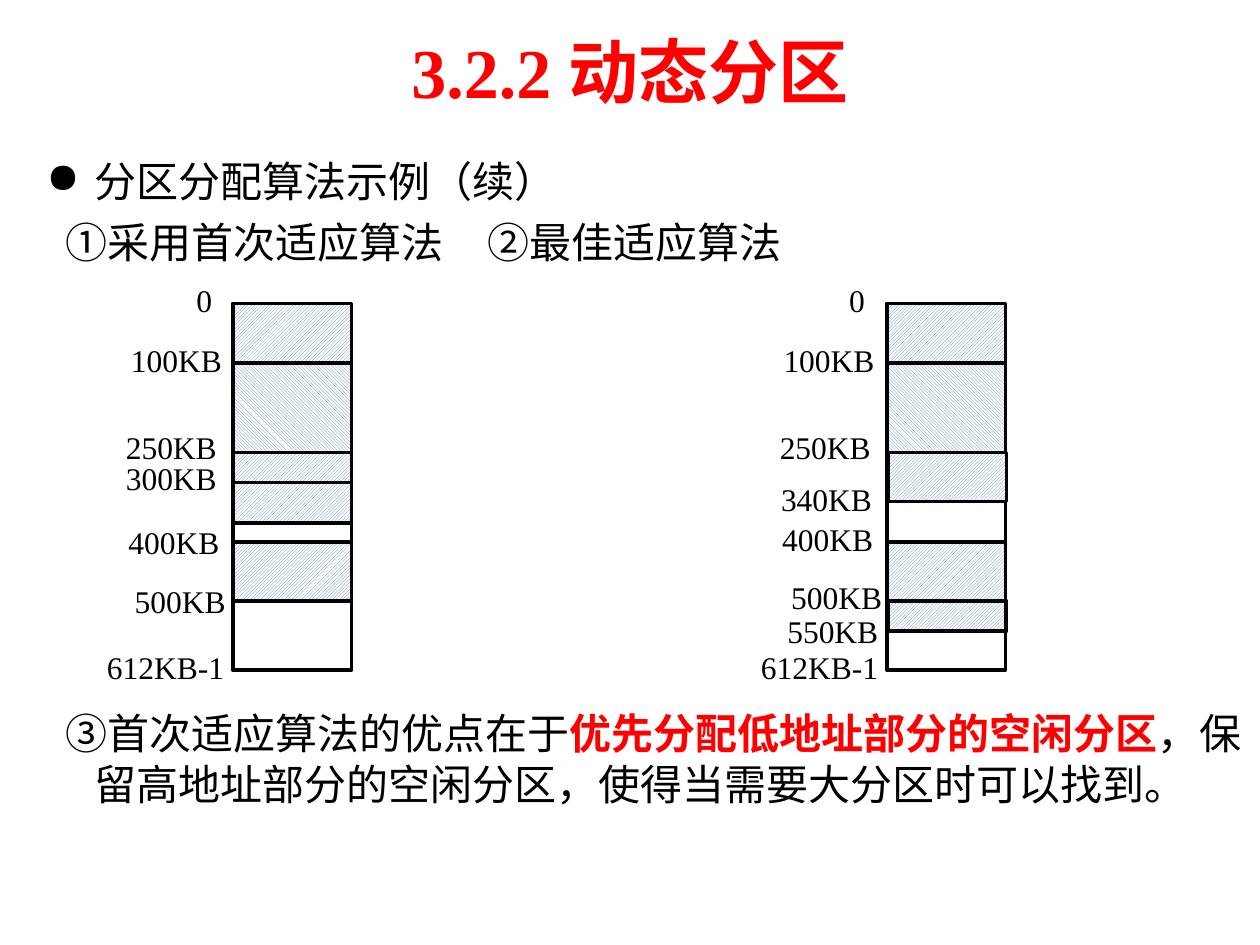
"""Build the slide comparing first-fit and best-fit dynamic partition allocation."""
from lxml.etree import SubElement
from pptx import Presentation
from pptx.dml.color import RGBColor
from pptx.enum.dml import MSO_PATTERN
from pptx.enum.shapes import MSO_SHAPE
from pptx.enum.text import MSO_ANCHOR, PP_ALIGN
from pptx.oxml.ns import qn
from pptx.util import Inches, Pt

BLACK = RGBColor(0x00, 0x00, 0x00)
WHITE = RGBColor(0xFF, 0xFF, 0xFF)
RED = RGBColor(0xFF, 0x00, 0x00)
TITLE_RED = RGBColor(0xFE, 0x00, 0x00)
HATCH_BLUE = RGBColor(0x4F, 0x81, 0xBD)
SERIF, SANS = "Times New Roman", "Arial"
UP, DOWN = MSO_PATTERN.LIGHT_UPWARD_DIAGONAL, MSO_PATTERN.LIGHT_DOWNWARD_DIAGONAL

TITLE = "3.2.2 动态分区"
BODY = [
    {"runs": [("分区分配算法示例（续）", BLACK)],
     "left": 0.38, "first": -0.38, "before": 0, "after": 2.4, "bullet": "●"},
    {"runs": [("①采用首次适应算法\t②最佳适应算法", BLACK)],
     "left": 0, "first": 0.15, "before": 3.6, "after": 0, "tab": 4.18},
    {"runs": [("③首次适应算法的优点在于", BLACK),
              ("优先分配低地址部分的空闲分区", RED),
              ("，保留高地址部分的空闲分区，使得当需要大分区时可以找到。", BLACK)],
     "left": 0.38, "first": -0.23, "before": 251.5, "after": 0},
]

BAR_TOP, BAR_WIDTH, BAR_HEIGHT = 2.41, 0.94, 2.91
SHARED_BLOCKS = [(0, 0, BAR_HEIGHT, None), (0, 0, 0.47, UP), (0, 0.47, 0.71, DOWN)]
MEMORY_MAPS = [
    {"left": 1.85,
     "blocks": [(0, 1.18, 0.24, UP), (0, 1.42, 0.47, None), (0, 1.89, 0.47, UP),
                (0, 2.36, 0.55, None), (0, 1.42, 0.32, UP)],
     "labels": [("0", 0.39, 2.18), ("100KB", 0.91, 2.66), ("250KB", 0.95, 3.35),
                ("300KB", 0.95, 3.59), ("400KB", 0.93, 4.1), ("500KB", 0.88, 4.57),
                ("612KB-1", 1.1, 5.09)]},
    {"left": 7.04,
     "blocks": [(0.01, 2.36, 0.24, UP), (0, 1.89, 0.47, UP), (0, 2.36, 0.55, None),
                (0.01, 1.18, 0.39, UP)],
     "labels": [("0", 0.4, 2.18), ("100KB", 0.92, 2.66), ("250KB", 0.95, 3.35),
                ("340KB", 0.94, 3.76), ("400KB", 0.93, 4.08), ("500KB", 0.86, 4.54),
                ("550KB", 0.89, 4.81), ("612KB-1", 1.1, 5.09)]},
]
LABEL_WIDTHS = {"0": 0.39, "612KB-1": 1.25}


def set_font(font, name, size, color=None, bold=False):
    font.name, font.size, font.bold = name, Pt(size), bold
    if color is not None:
        font.color.rgb = color


def add_title(slide):
    title = slide.shapes.title
    title.left, title.top, title.width, title.height = map(Inches, (0.5, 0.05, 9, 1.02))
    frame = title.text_frame
    frame.text = TITLE
    frame.vertical_anchor = MSO_ANCHOR.MIDDLE
    heading = frame.paragraphs[0]
    heading.alignment = PP_ALIGN.CENTER
    set_font(heading.font, SERIF, 40, TITLE_RED, True)


def add_body(slide):
    frame = slide.shapes.add_textbox(*map(Inches, (0.27, 1.15, 9.73, 5.59))).text_frame
    frame.word_wrap = True
    frame.margin_top = Inches(0.08)
    for index, item in enumerate(BODY):
        paragraph = frame.add_paragraph() if index else frame.paragraphs[0]
        paragraph.line_spacing = Pt(29)
        paragraph.space_before, paragraph.space_after = Pt(item["before"]), Pt(item["after"])
        properties = paragraph._p.get_or_add_pPr()
        properties.set("marL", str(Inches(item["left"])))
        properties.set("indent", str(Inches(item["first"])))
        if "bullet" in item:
            SubElement(properties, qn("a:buChar"), char=item["bullet"])
        if "tab" in item:
            tabs = SubElement(properties, qn("a:tabLst"))
            SubElement(tabs, qn("a:tab"), pos=str(Inches(item["tab"])), algn="l")
        set_font(paragraph.font, SANS, 24)
        for text, color in item["runs"]:
            run = paragraph.add_run()
            run.text = text
            run.font.color.rgb = color
            run.font.bold = color == RED


def add_block(slide, left, top, height, pattern):
    block = slide.shapes.add_shape(
        MSO_SHAPE.RECTANGLE, *map(Inches, (left, top, BAR_WIDTH, height)))
    block.shadow.inherit = False
    block.line.color.rgb = BLACK
    block.line.width = Pt(2)
    if pattern is None:
        block.fill.background()
    else:
        block.fill.patterned()
        block.fill.pattern = pattern
        block.fill.fore_color.rgb = HATCH_BLUE
        block.fill.back_color.rgb = WHITE


def add_label(slide, text, left, top):
    width = LABEL_WIDTHS.get(text, 1.02)
    frame = slide.shapes.add_textbox(*map(Inches, (left, top, width, 0.4))).text_frame
    frame.word_wrap = True
    frame.text = text
    set_font(frame.paragraphs[0].font, SERIF, 18, BLACK)


def main():
    deck = Presentation()
    deck.slide_width, deck.slide_height = Inches(10), Inches(7.5)
    slide = deck.slides.add_slide(deck.slide_layouts[5])
    add_title(slide)
    add_body(slide)
    for memory in MEMORY_MAPS:
        for shift, offset, height, pattern in SHARED_BLOCKS + memory["blocks"]:
            add_block(slide, memory["left"] + shift, BAR_TOP + offset, height, pattern)
        for text, gap, top in memory["labels"]:
            add_label(slide, text, memory["left"] - gap, top)
    deck.save("out.pptx")


if __name__ == "__main__":
    main()
